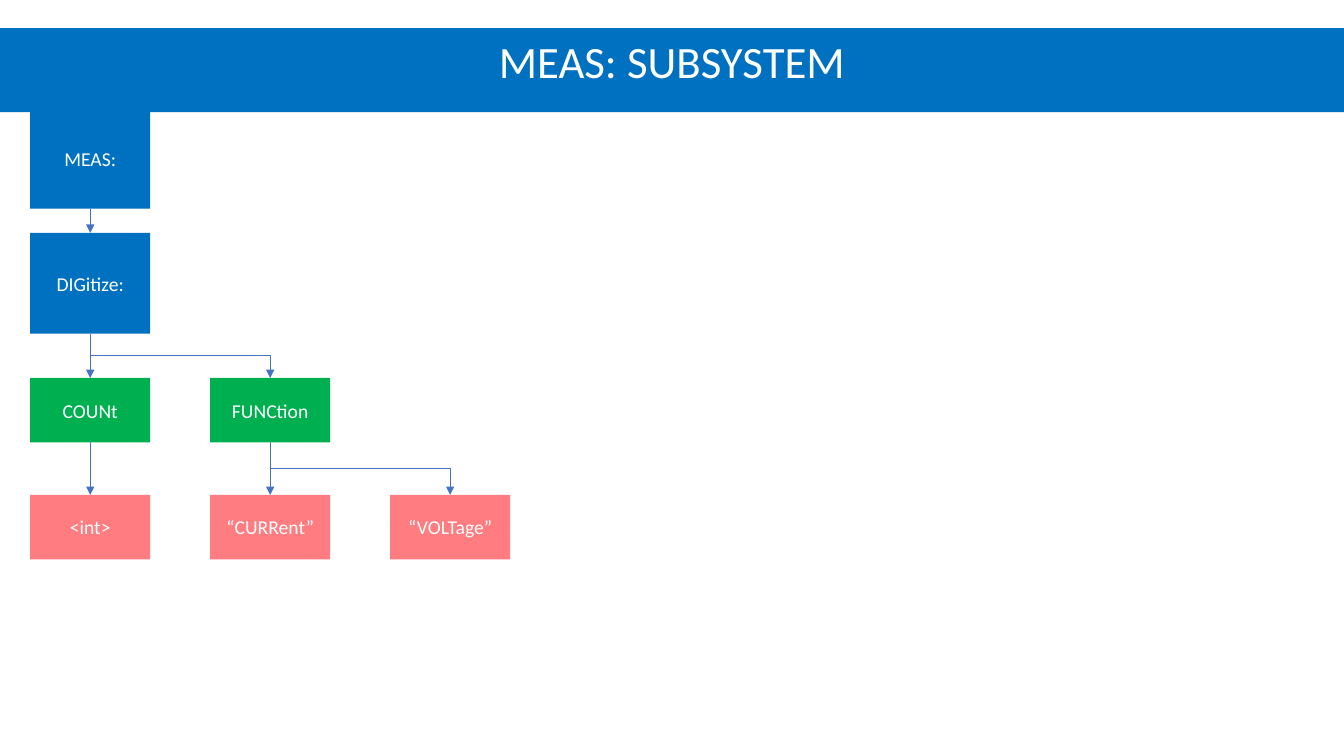
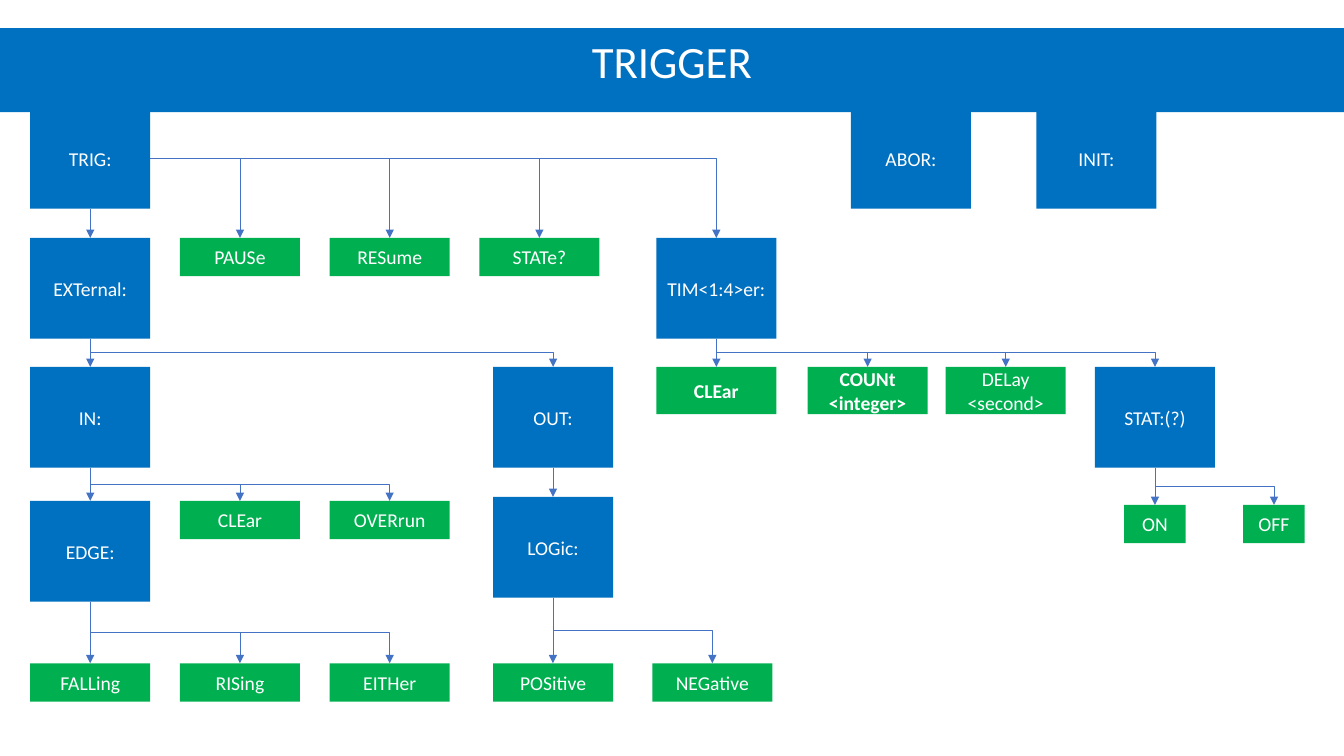
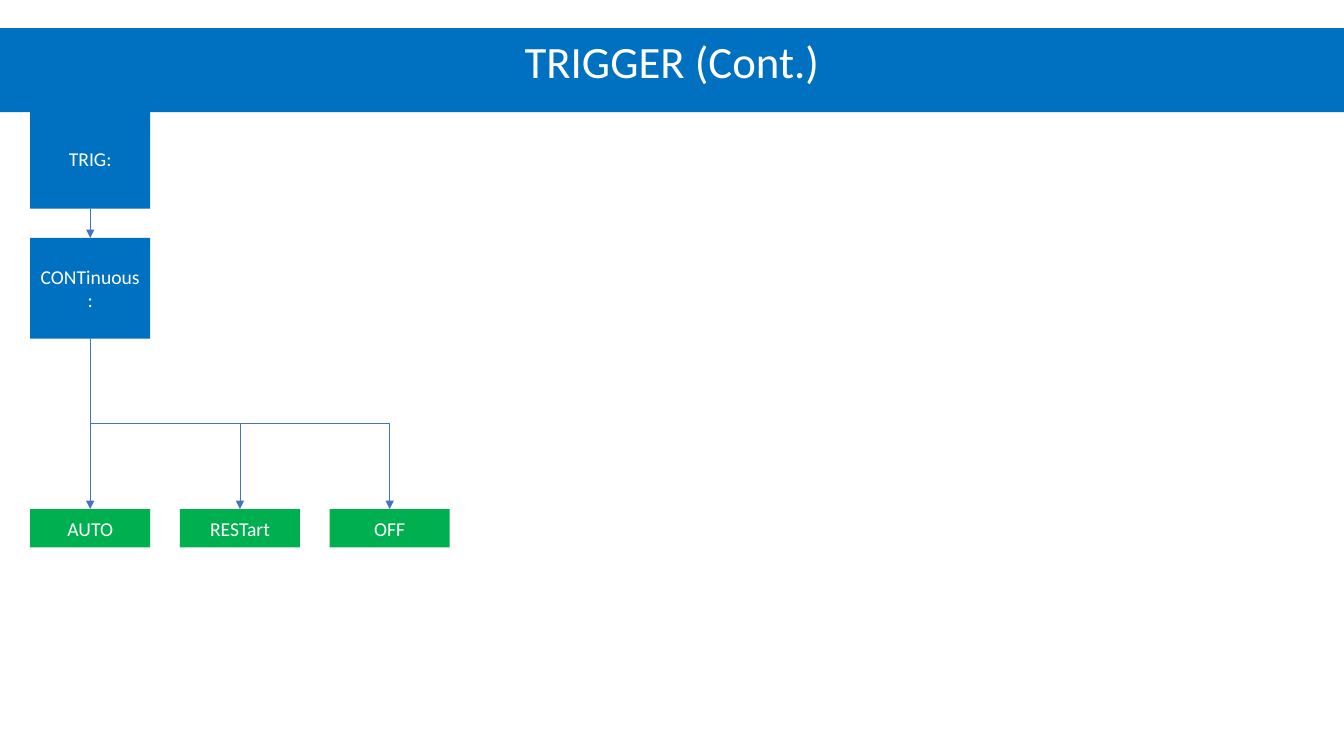
from dataclasses import dataclass

from lxml import etree
from pptx import Presentation
from pptx.dml.color import RGBColor
from pptx.enum.shapes import MSO_CONNECTOR, MSO_SHAPE
from pptx.enum.text import MSO_ANCHOR, MSO_AUTO_SIZE, PP_ALIGN
from pptx.oxml.ns import qn
from pptx.util import Inches, Pt

# Shared look
COLORS = {"blue": "0070C0", "green": "00B050", "pink": "FF7C80",
          "line": "4472C4", "white": "FFFFFF"}
FONT = "Calibri"
SLIDE_WIDTH, SLIDE_HEIGHT = 13.33, 7.5
BAND_TOP, BAND_HEIGHT = 0.28, 0.64
ROOT_TOP, MARGIN, BOX_WIDTH = 1.07, 0.3, 1.19
TOP, BOTTOM, RIGHT = 0, 2, 3

# Box kind: fill colour and height
KINDS = {
    "group": ("blue", 1.0),
    "command": ("green", 0.64),
    "value": ("pink", 0.64),
    "action": ("green", 0.38),
    "setting": ("green", 0.47),
}


@dataclass
class Node:
    text: str
    left: float
    kind: str = "group"
    children: tuple = ()
    children_top: float = 0
    branch_side: int = BOTTOM
    width: float = BOX_WIDTH
    bold: bool = False


def column(number, pitch=1.485):
    return MARGIN + number * pitch


def wide_column(number):
    return column(number, 1.785)


def actions(*labels):
    return tuple(Node(label, column(number), "action")
                 for number, label in labels)


# Content: command trees
measure_tree = Node("MEAS:", wide_column(0), children_top=2.31, children=(
    Node("DIGitize:", wide_column(0), children_top=3.75, children=(
        Node("COUNt", wide_column(0), "command", children_top=4.91, children=(
            Node("<int>", wide_column(0), "value"),)),
        Node("FUNCtion", wide_column(1), "command", children_top=4.91, children=(
            Node("“CURRent”", wide_column(1), "value"),
            Node("“VOLTage”", wide_column(2), "value"))))),))

input_branch = Node("IN:", column(0), children_top=4.97, children=(
    Node("EDGE:", column(0), children_top=6.58, children=actions(
        (0, "FALLing"), (1, "RISing"), (2, "EITHer"))),
    *actions((1, "CLEar"), (2, "OVERrun"))))

output_branch = Node("OUT:", 4.89, children_top=4.93, children=(
    Node("LOGic:", 4.89, children_top=6.58, children=(
        Node("POSitive", 4.89, "action"),
        Node("NEGative", 6.47, "action"))),))

timer_branch = Node("TIM<1:4>er:", 6.51, children_top=3.64, children=(
    Node("CLEar", 6.51, "setting", bold=True),
    Node("COUNt <integer>", 8.01, "setting", bold=True),
    Node("DELay <second>", 9.38, "setting"),
    Node("STAT:(?)", 10.86, children_top=5.01, children=(
        Node("ON", 11.15, "action", width=0.61),
        Node("OFF", 12.33, "action", width=0.61)))))

trigger_tree = Node("TRIG:", column(0), children_top=2.36, branch_side=RIGHT, children=(
    Node("EXTernal:", column(0), children_top=3.64,
         children=(input_branch, output_branch)),
    *actions((1, "PAUSe"), (2, "RESume"), (3, "STATe?")),
    timer_branch))

continuous_tree = Node("TRIG:", column(0), children_top=2.36, children=(
    Node("CONTinuous:", column(0), children_top=5.05, children=actions(
        (0, "AUTO"), (1, "RESTart"), (2, "OFF"))),))

SLIDES = [
    ("MEAS: SUBSYSTEM", [measure_tree]),
    ("TRIGGER", [trigger_tree, Node("ABOR:", 8.44), Node("INIT:", 10.28)]),
    ("TRIGGER (Cont.)", [continuous_tree]),
]


def color(name):
    return RGBColor.from_string(COLORS[name])


def place(shape, left, top, width, height):
    bounds = {"left": left, "top": top, "width": width, "height": height}
    for name, value in bounds.items():
        setattr(shape, name, value)


def style_text(shape, text, size, anchor, bold=False):
    frame = shape.text_frame
    frame.text = text
    frame.word_wrap = True
    frame.vertical_anchor = anchor
    paragraph = frame.paragraphs[0]
    paragraph.alignment = PP_ALIGN.CENTER
    font = paragraph.runs[0].font
    for name, value in {"name": FONT, "size": Pt(size), "bold": bold}.items():
        setattr(font, name, value)
    font.color.rgb = color("white")


def fill_shape(shape, fill):
    shape.fill.solid()
    shape.fill.fore_color.rgb = color(fill)
    shape.line.fill.background()
    shape.shadow.inherit = False


def add_title(slide, text):
    title = slide.shapes.title
    place(title, 0, Inches(BAND_TOP), Inches(SLIDE_WIDTH), Inches(BAND_HEIGHT))
    fill_shape(title, "blue")
    style_text(title, text, 32, MSO_ANCHOR.TOP)
    title.text_frame.auto_size = MSO_AUTO_SIZE.SHAPE_TO_FIT_TEXT


def add_arrow(slide, parent, child, branch_side):
    straight = parent.left + parent.width // 2 == child.left + child.width // 2
    side = BOTTOM if straight else branch_side
    kind = MSO_CONNECTOR.STRAIGHT if straight else MSO_CONNECTOR.ELBOW
    connector = slide.shapes.add_connector(kind, 0, 0, 0, 0)
    connector.begin_connect(parent, side)
    connector.end_connect(child, TOP)
    properties = connector.element.spPr

    if not straight and side == RIGHT:
        # One bend: across, then down
        properties.find(qn("a:prstGeom")).set("prst", "bentConnector2")
    elif not straight:
        # Two bends: a quarter turn makes the path leave downwards
        run, drop = connector.width, connector.height
        shift = (run - drop) // 2
        place(connector, connector.left + shift, connector.top - shift, drop, run)
        transform = properties.find(qn("a:xfrm"))
        transform.set("rot", "16200000")
        transform.set("flipH", "1")

    connector.line.color.rgb = color("line")
    connector.line.width = Pt(0.5)
    line = properties.find(qn("a:ln"))
    etree.SubElement(line, qn("a:tailEnd"), type="triangle")
    etree.SubElement(properties, qn("a:effectLst"))


def add_tree(slide, node, top):
    fill, height = KINDS[node.kind]
    box = slide.shapes.add_shape(
        MSO_SHAPE.RECTANGLE, Inches(node.left), Inches(top),
        Inches(node.width), Inches(height))
    fill_shape(box, fill)
    style_text(box, node.text, 14, MSO_ANCHOR.MIDDLE, node.bold)
    for child in node.children:
        child_box = add_tree(slide, child, node.children_top)
        add_arrow(slide, box, child_box, node.branch_side)
    return box


def main():
    presentation = Presentation()
    presentation.slide_width = Inches(SLIDE_WIDTH)
    presentation.slide_height = Inches(SLIDE_HEIGHT)
    title_only = presentation.slide_layouts[5]
    for title, trees in SLIDES:
        slide = presentation.slides.add_slide(title_only)
        add_title(slide, title)
        for tree in trees:
            add_tree(slide, tree, ROOT_TOP)
    presentation.save("out.pptx")


if __name__ == "__main__":
    main()
